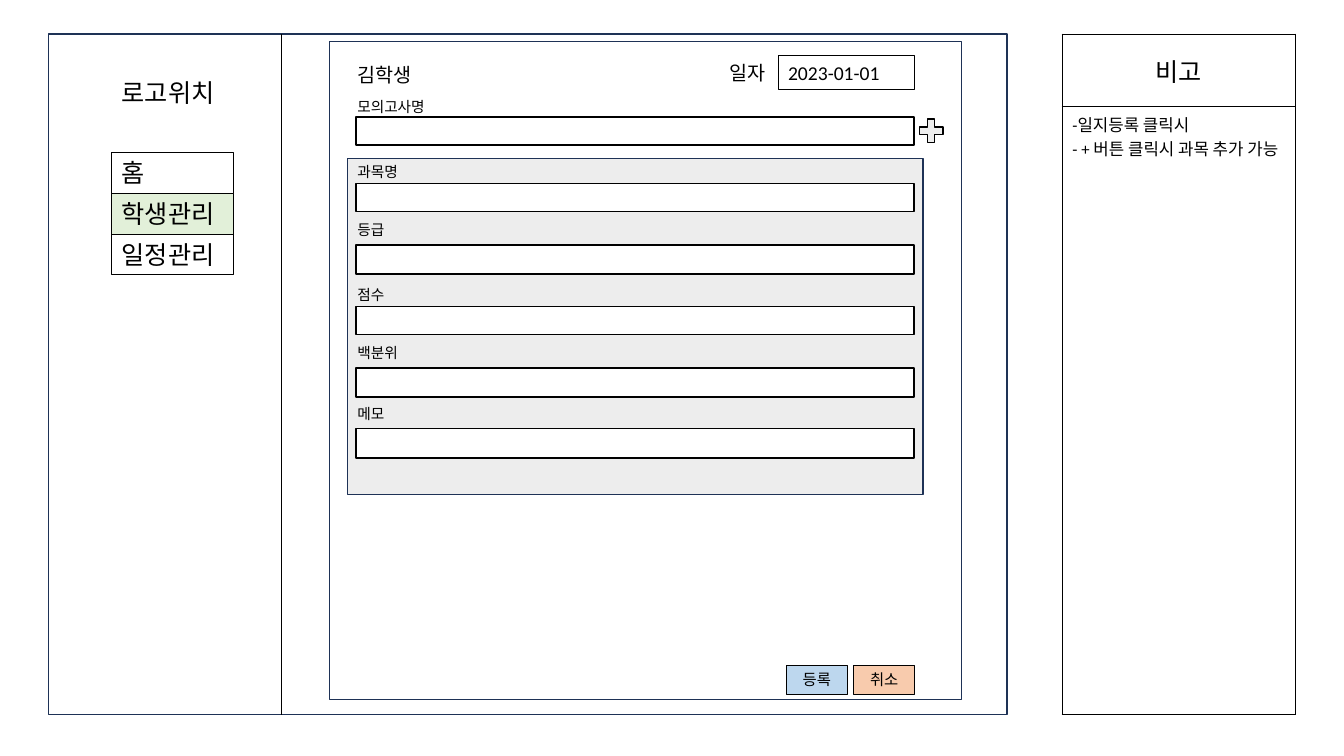
from lxml.etree import SubElement
from pptx import Presentation
from pptx.dml.color import RGBColor
from pptx.enum.shapes import MSO_CONNECTOR, MSO_SHAPE
from pptx.enum.text import MSO_ANCHOR, PP_ALIGN
from pptx.oxml.ns import qn
from pptx.util import Cm, Pt

BLACK = RGBColor(0x00, 0x00, 0x00)
WHITE = RGBColor(0xFF, 0xFF, 0xFF)
NAVY = RGBColor(0x1E, 0x32, 0x56)
GRAY = RGBColor(0xED, 0xED, 0xED)
GREEN = RGBColor(0xE2, 0xF0, 0xD9)
BLUE = RGBColor(0xBD, 0xD7, 0xEE)
ORANGE = RGBColor(0xF8, 0xCB, 0xAD)

prs = Presentation()
prs.slide_width, prs.slide_height = Cm(33.87), Cm(19.05)
slide = prs.slides.add_slide(prs.slide_layouts[6])
shapes = slide.shapes


def write(frame, text, size, align=PP_ALIGN.LEFT):
    frame.text = text
    for paragraph in frame.paragraphs:
        paragraph.alignment = align
        for run in paragraph.runs:
            run.font.name = "Calibri"
            run.font.size = Pt(size)
            run.font.color.rgb = BLACK


def add_box(left, top, width, height, fill=None, line=BLACK, weight=1, kind=MSO_SHAPE.RECTANGLE):
    box = shapes.add_shape(kind, Cm(left), Cm(top), Cm(width), Cm(height))
    box.shadow.inherit = False
    if fill is None:
        box.fill.background()
    else:
        box.fill.solid()
        box.fill.fore_color.rgb = fill
    box.line.color.rgb = line
    box.line.width = Pt(weight)
    return box


add_box(8.31, 1.04, 15.93, 16.59, WHITE, NAVY)
add_box(8.76, 3.99, 14.5, 8.48, GRAY, NAVY)
add_box(1.22, 0.86, 24.16, 17.15, None, NAVY)

divider = shapes.add_connector(MSO_CONNECTOR.STRAIGHT, Cm(7.09), Cm(0.86), Cm(7.09), Cm(18.01))
divider.line.color.rgb = BLACK
divider.line.width = Pt(0.5)
SubElement(divider._element.spPr, qn("a:effectLst"))

for row, (menu, fill) in enumerate([("홈", None), ("학생관리", GREEN), ("일정관리", None)]):
    menu_item = add_box(2.82, 3.84 + row * 1.03, 3.07, 1.03, fill, weight=0.75)
    write(menu_item.text_frame, menu, 18)

date_box = add_box(19.61, 1.4, 3.45, 0.86, weight=0.75)
write(date_box.text_frame, "2023-01-01", 14)

for left, button, fill in [(19.81, "등록", BLUE), (21.51, "취소", ORANGE)]:
    write(add_box(left, 16.76, 1.55, 0.74, fill, weight=0.75).text_frame, button, 11, PP_ALIGN.CENTER)

labels = [
    ("로고위치", 2.82, 1.83, 3.07, 1.03, 18),
    ("김학생", 8.76, 1.47, 2.01, 0.86, 14),
    ("일자", 18.14, 1.4, 1.5, 0.86, 14),
]
fields = [
    ("모의고사명", 2.34, 2.95, 0.71),
    ("과목명", 3.99, 4.62, 0.71),
    ("등급", 5.44, 6.17, 0.74),
    ("점수", 7.09, 7.72, 0.71),
    ("백분위", 8.53, 9.27, 0.74),
    ("메모", 10.08, 10.8, 0.74),
]
for field, label_top, input_top, input_height in fields:
    add_box(8.97, input_top, 14.07, input_height, WHITE)
    labels.append((field, 8.76, label_top, 2.39, 0.71, 10.5))

for text, left, top, width, height, size in labels:
    label = shapes.add_textbox(Cm(left), Cm(top), Cm(width), Cm(height))
    label.text_frame.word_wrap = True
    write(label.text_frame, text, size)

add_box(23.06, 2.9, 0.81, 0.79, GRAY, kind=MSO_SHAPE.MATH_PLUS)

notes = shapes.add_table(2, 1, Cm(26.77), Cm(0.86), Cm(5.87), Cm(17.15)).table
notes.rows[0].height, notes.rows[1].height = Cm(1.83), Cm(15.32)
heading, remarks = notes.cell(0, 0), notes.cell(1, 0)
write(heading.text_frame, "비고", 18, PP_ALIGN.CENTER)
heading.vertical_anchor = MSO_ANCHOR.MIDDLE
write(remarks.text_frame, "-일지등록 클릭시\n- + 버튼 클릭시 과목 추가 가능", 12)
for cell in (heading, remarks):
    for run in cell.text_frame.paragraphs[0].runs:
        run.font.bold = False
    properties = cell._tc.get_or_add_tcPr()
    for side in ("a:lnL", "a:lnR", "a:lnT", "a:lnB"):
        border = SubElement(properties, qn(side), w=str(Pt(1)))
        border_fill = SubElement(border, qn("a:solidFill"))
        SubElement(border_fill, qn("a:srgbClr"), val=str(BLACK))
    cell.fill.background()

prs.save("out.pptx")
